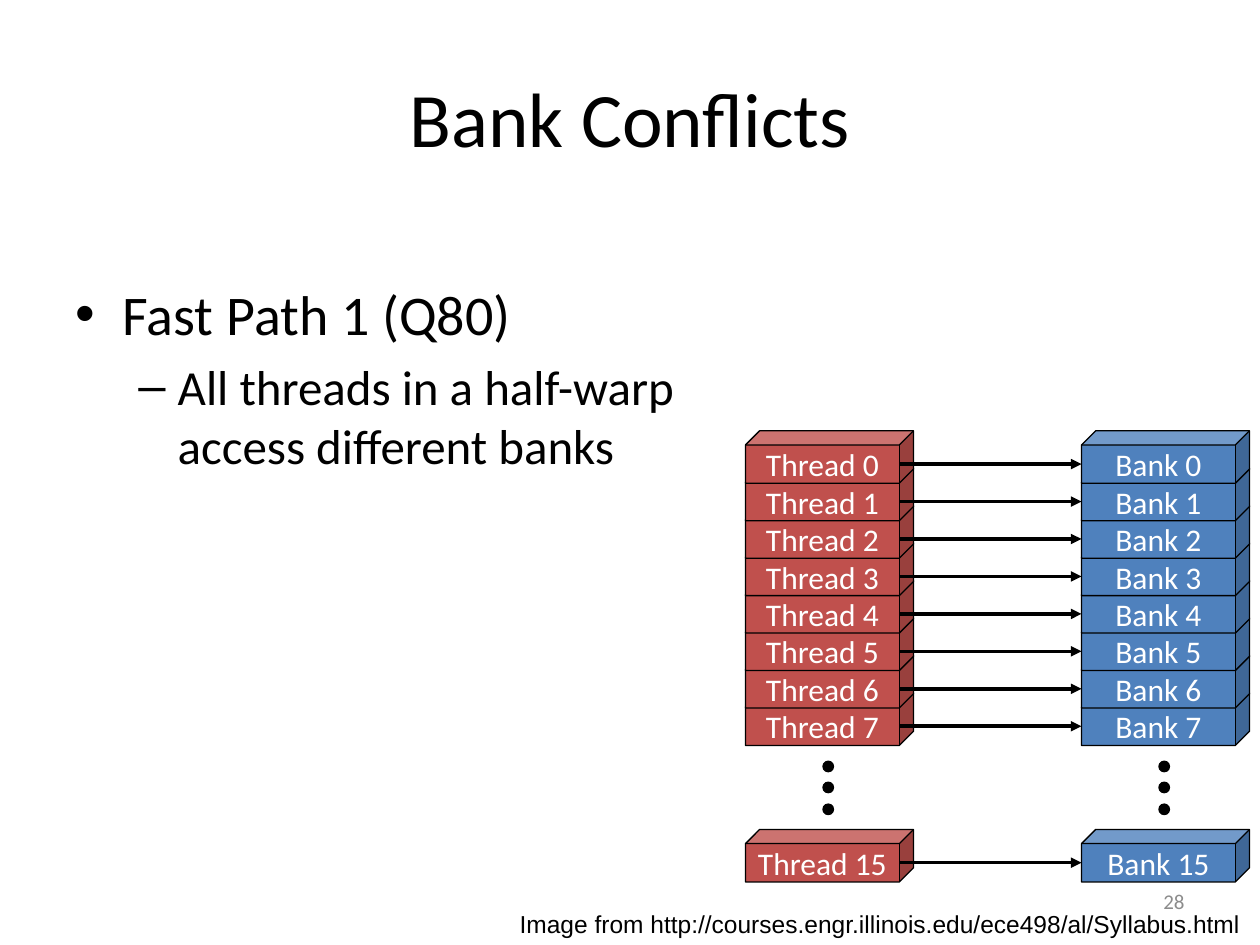
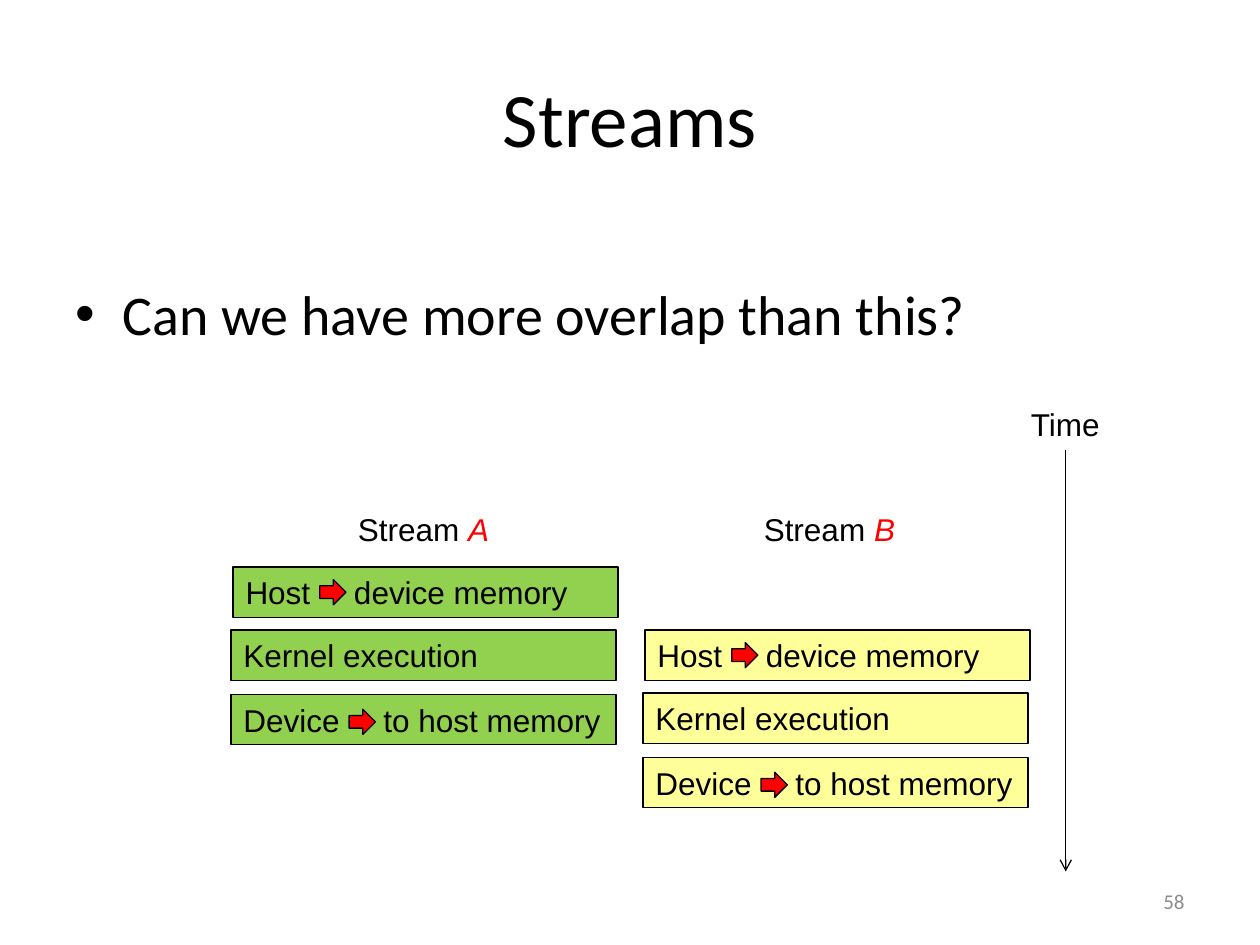
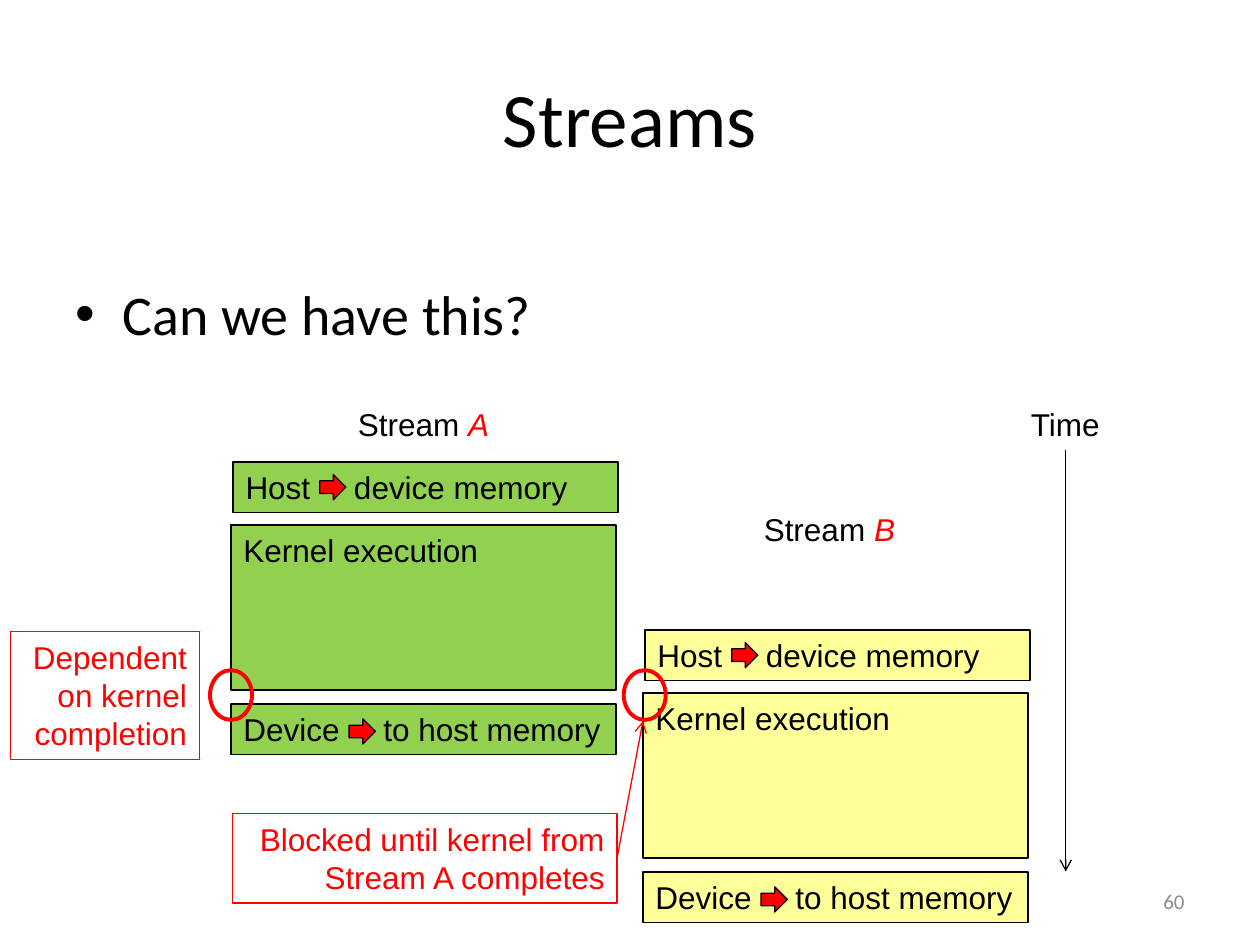
"""Build three slides on memory bank conflicts and overlapping streams."""
import dataclasses

import lxml.etree
import pptx
import pptx.dml.color
import pptx.enum.shapes
import pptx.enum.text
import pptx.oxml.ns
import pptx.util

Pt = pptx.util.Pt
SHAPE = pptx.enum.shapes.MSO_SHAPE
ALIGN = pptx.enum.text.PP_ALIGN
ANCHOR = pptx.enum.text.MSO_ANCHOR


@dataclasses.dataclass(frozen=True)
class Theme:
    """Hold the colours, fonts and type sizes."""
    black: str = "000000"
    white: str = "FFFFFF"
    gray: str = "8C8C8C"
    red: str = "FF0000"
    green: str = "92D050"
    yellow: str = "FFFF99"
    blue: str = "4F81BD"
    brick: str = "C0504D"
    head: str = "Calibri"
    sans: str = "Arial"
    title: int = 44
    points: tuple = (32, 28)
    label: int = 18
    credit: int = 14
    number: int = 12
    thin: float = 0.75
    arrow: float = 2
    ring: float = 2.25


T = Theme()

BANKS = {
    "title": "Bank Conflicts", "number": "28", "body": (396, 156),
    "points": [(0, "Fast Path 1 (Q80)"),
               (1, "All threads in a half-warp access different banks")],
}
CREDIT = "Image from http://courses.engr.illinois.edu/ece498/al/Syllabus.html"
STACKS = [("Bank", T.blue, 618), ("Thread", T.brick, 426)]
ROWS = [(i, 246.2 + 21.4 * i) for i in range(8)] + [(15, 474)]
DOTS = [435, 447, 459.5]
CUBE = (96, 30)
BULLETS = [("•", 27, -27), ("–", 58.5, -22.5)]

STREAMS = [
    {"title": "Streams", "number": "58", "body": (648, 56),
     "points": [(0, "Can we have more overlap than this?")],
     "lanes": [("A", T.green, 132, 65.5, 288, 324),
               ("B", T.yellow, 367.4, 62, 288, 360)],
     "kernel": 28.8, "notes": [], "rings": []},
    {"title": "Streams", "number": "60", "body": (648, 56),
     "points": [(0, "Can we have this?")],
     "lanes": [("A", T.green, 132, 65.5, 228, 264),
               ("B", T.yellow, 367.4, 62, 288, 360)],
     "kernel": 94.3,
     "notes": [("Dependent on kernel completion", (6, 361, 108, 73)),
               ("Blocked until kernel from Stream A completes",
                (133, 465, 219.6, 51))],
     "rings": [(120, 383, 24, 28.4), (356.4, 383, 24, 28.4)]},
]
STEP, GAP, BAR = 36, 8, 28.8


def rgb(hue):
    """Turn a hex string into a colour."""
    return pptx.dml.color.RGBColor.from_string(hue)


def sub(node, tag, **attrs):
    """Append a drawing element."""
    return lxml.etree.SubElement(node, pptx.oxml.ns.qn(tag), attrs)


def say(para, text, size, font=T.sans, hue=T.black, slant=None):
    """Add one run to a paragraph."""
    run = para.add_run()
    run.text = text
    run.font.size, run.font.name = Pt(size), font
    run.font.color.rgb = rgb(hue)
    run.font.italic = slant


def frame(shape, align=ALIGN.LEFT, anchor=ANCHOR.TOP, wrap=True):
    """Set up a text frame and return its first paragraph."""
    text = shape.text_frame
    text.word_wrap, text.vertical_anchor = wrap, anchor
    text.paragraphs[0].alignment = align
    return text.paragraphs[0]


def box(slide, spot, *args, **opts):
    """Add a text box and return its first paragraph."""
    return frame(slide.shapes.add_textbox(*map(Pt, spot)), *args, **opts)


def draw(slide, kind, spot, fill=None, line=T.black, width=T.thin):
    """Add a preset shape."""
    shape = slide.shapes.add_shape(kind, *map(Pt, spot))
    shape.shadow.inherit = False
    if fill:
        shape.fill.solid()
        shape.fill.fore_color.rgb = rgb(fill)
    else:
        shape.fill.background()
    shape.line.color.rgb, shape.line.width = rgb(line), Pt(width)
    return shape


def link(slide, ends, hue=T.black, width=T.thin, tip="arrow"):
    """Add a straight arrow."""
    line = slide.shapes.add_connector(
        pptx.enum.shapes.MSO_CONNECTOR.STRAIGHT, *map(Pt, ends))
    line.line.color.rgb, line.line.width = rgb(hue), Pt(width)
    sub(line.line._get_or_add_ln(), "a:tailEnd", type=tip)
    sub(line._element.spPr, "a:effectLst")
    return line


def start(deck, page):
    """Add a slide with its title, points and number."""
    slide = deck.slides.add_slide(deck.slide_layouts[5])
    title = slide.shapes.title
    title.left, title.top, title.width, title.height = map(
        Pt, (36, 21.6, 648, 90))
    say(frame(title, ALIGN.CENTER, ANCHOR.MIDDLE), page["title"],
        T.title, T.head)
    para = box(slide, (36, 156, *page["body"]))
    for i, (level, text) in enumerate(page["points"]):
        if i:
            para = slide.shapes[-1].text_frame.add_paragraph()
            para.space_before = Pt(T.points[level] * 0.2)
        para.level = level
        mark, left, hang = BULLETS[level]
        props = para._p.get_or_add_pPr()
        props.set("marL", str(Pt(left)))
        props.set("indent", str(Pt(hang)))
        sub(props, "a:buFont", typeface=T.sans)
        sub(props, "a:buChar", char=mark)
        say(para, text, T.points[level], T.head)
    say(box(slide, (516, 500.5, 168, 28.8), ALIGN.RIGHT, ANCHOR.MIDDLE),
        page["number"], T.number, T.head, T.gray)
    return slide


def banks(deck):
    """Draw threads that each reach their own bank."""
    slide = start(deck, BANKS)
    say(box(slide, (0, 516, 716, 24), ALIGN.RIGHT), CREDIT, T.credit)
    for name, hue, left in STACKS:
        for i, top in reversed(ROWS):
            cube = draw(slide, SHAPE.CUBE, (left, top, *CUBE), hue)
            cube.adjustments[0] = 0.27
            say(frame(cube, ALIGN.CENTER, ANCHOR.MIDDLE, False),
                f"{name} {i}", T.label, T.head, T.white)
        for top in DOTS:
            draw(slide, SHAPE.OVAL, (left + 44.3, top, 6, 6), T.black)
    for _, top in ROWS:
        link(slide, (514, top + 19, 618, top + 19), width=T.arrow,
             tip="triangle")


def lane(slide, name, hue, left, shift, top, host, tall):
    """Draw one stream with its copy, kernel and copy back."""
    para = box(slide, (left + shift, top, 91, BAR), wrap=False)
    say(para, "Stream ", T.label)
    say(para, name, T.label, hue=T.red, slant=True)
    core = host + STEP
    back = core + tall + GAP
    parts = [(("Kernel execution",), 0, core, tall, 0, 0),
             (("Host", "device memory"), 1.2, host, BAR, 62, 7.2),
             (("Device", "to host memory"), 0, back, BAR, 80, 8.5)]
    for words, nudge, y, high, tab, drop in parts:
        bar = draw(slide, SHAPE.RECTANGLE,
                   (left + nudge, y, 220, high), hue)
        para = frame(bar)
        if tab:
            tabs = sub(para._p.get_or_add_pPr(), "a:tabLst")
            sub(tabs, "a:tab", pos=str(Pt(tab)), algn="l")
            draw(slide, SHAPE.RIGHT_ARROW,
                 (left + tab - 12.5 + nudge, y + drop, 15, 14.4), T.red)
        say(para, "\t".join(words), T.label)


def streams(deck, page):
    """Draw two streams beside a time axis."""
    slide = start(deck, page)
    say(box(slide, (582, 228, 54, BAR), wrap=False), "Time", T.label)
    link(slide, (609, 257, 609, 498))
    for row in page["lanes"]:
        lane(slide, *row, page["kernel"])
    for spot in page["rings"]:
        draw(slide, SHAPE.OVAL, spot, line=T.red, width=T.ring)
    for text, spot in page["notes"]:
        note = draw(slide, SHAPE.RECTANGLE, spot, line=T.red)
        say(frame(note, ALIGN.RIGHT), text, T.label, hue=T.red)
    if page["notes"]:
        line = link(slide, (352.6, 490.5, 367.4, 412), T.red)
        line.begin_connect(note, 3)


def main():
    """Build and save the deck."""
    deck = pptx.Presentation()
    deck.slide_width, deck.slide_height = Pt(720), Pt(540)
    banks(deck)
    for page in STREAMS:
        streams(deck, page)
    deck.save("out.pptx")


if __name__ == "__main__":
    main()
